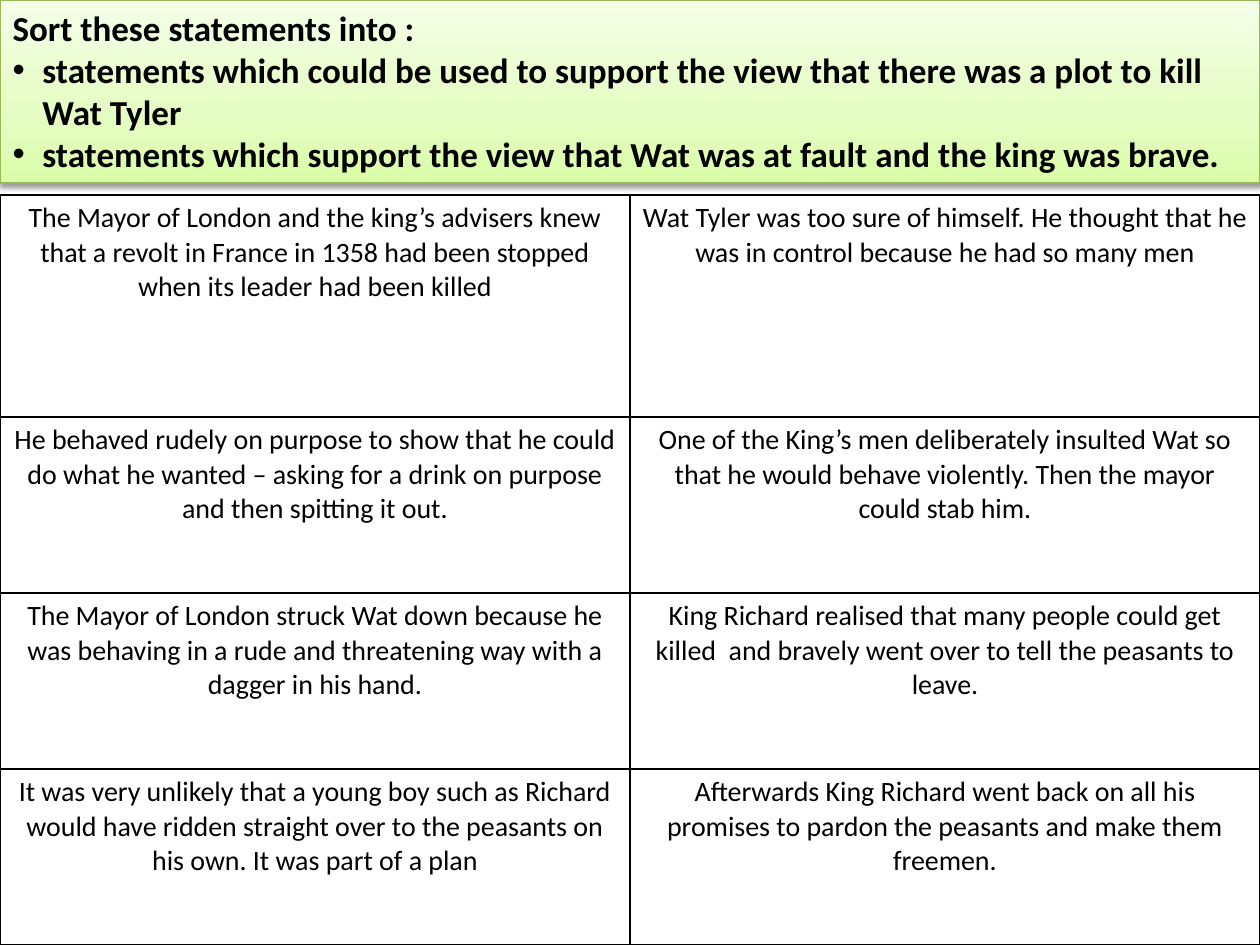
from lxml.etree import SubElement
from pptx import Presentation
from pptx.dml.color import RGBColor
from pptx.enum.text import MSO_ANCHOR as Anchor, MSO_AUTO_SIZE as AutoSize, PP_ALIGN as Align
from pptx.oxml.ns import qn
from pptx.util import Pt

COLORS = {
    "text": "000000",
    "border": "000000",
    "cell": "FFFFFF",
    "outline": "98B955",
    "shadow": "000000",
    "deep": "DAFDA7",
    "middle": "E4FCC2",
    "pale": "F5FFE7",
}
WIDTH, HEIGHT = 720, 540
HEADER_HEIGHT = 104.5
TABLE_TOP = 111.4
ROW_HEIGHTS = [126.8, 100.6, 100.6, 100.6]

HEADING = "Sort these statements into :"
CATEGORIES = [
    "statements which could be used to support the view that there was a plot to kill Wat Tyler",
    "statements which support the view that Wat was at fault and the king was brave.",
]
STATEMENTS = [
    ("The Mayor of London and the king’s advisers knew that a revolt in France in 1358 "
     "had been stopped when its leader had been killed",
     "Wat Tyler was too sure of himself. He thought that he was in control because he had so many men"),
    ("He behaved rudely on purpose to show that he could do what he wanted – asking for a drink "
     "on purpose and then spitting it out.",
     "One of the King’s men deliberately insulted Wat so that he would behave violently. "
     "Then the mayor could stab him."),
    ("The Mayor of London struck Wat down because he was behaving in a rude and threatening way "
     "with a dagger in his hand.",
     "King Richard realised that many people could get killed  and bravely went over to tell "
     "the peasants to leave."),
    ("It was very unlikely that a young boy such as Richard would have ridden straight over to "
     "the peasants on his own. It was part of a plan",
     "Afterwards King Richard went back on all his promises to pardon the peasants "
     "and make them freemen."),
]


def add_color(parent, name):
    return SubElement(parent, qn("a:srgbClr"), val=COLORS[name])


class SlideBuilder:
    font_name = "Calibri"

    def __init__(self, slide):
        self.slide = slide

    def add_text(self, para, text, size, align, bold=False):
        para.alignment = align
        span = para.add_run()
        span.text = text
        span.font.name = self.font_name
        span.font.size = Pt(size)
        span.font.bold = bold
        span.font.color.rgb = RGBColor.from_string(COLORS["text"])

    def gradient(self, box, stops):
        box.fill.gradient()
        box.fill.gradient_angle = 90
        stop_list = box.element.spPr.find(qn("a:gradFill")).find(qn("a:gsLst"))
        for stop in list(stop_list):
            stop_list.remove(stop)
        for percent, name in stops:
            add_color(SubElement(stop_list, qn("a:gs"), pos=str(percent * 1000)), name)

    def shadow(self, box):
        effects = SubElement(box.element.spPr, qn("a:effectLst"))
        outer = SubElement(effects, qn("a:outerShdw"), blurRad=str(Pt(3.1)),
                           dist=str(Pt(1.6)), dir="5400000", rotWithShape="0")
        SubElement(add_color(outer, "shadow"), qn("a:alpha"), val="38000")

    def header(self, heading, items):
        box = self.slide.shapes.title
        box.left, box.top, box.width, box.height = Pt(0), Pt(0), Pt(WIDTH), Pt(HEADER_HEIGHT)
        self.gradient(box, [(0, "deep"), (35, "middle"), (100, "pale")])
        box.line.color.rgb = RGBColor.from_string(COLORS["outline"])
        box.line.width = Pt(0.75)
        self.shadow(box)
        frame = box.text_frame
        frame.word_wrap = True
        frame.auto_size = AutoSize.SHAPE_TO_FIT_TEXT
        frame.vertical_anchor = Anchor.TOP
        self.add_text(frame.paragraphs[0], heading, 20, Align.LEFT, bold=True)
        for item in items:
            para = frame.add_paragraph()
            properties = para._p.get_or_add_pPr()
            SubElement(properties, qn("a:buFont"), typeface="Arial")
            SubElement(properties, qn("a:buChar"), char="•")
            self.add_text(para, item, 20, Align.LEFT, bold=True)

    def borders(self, cell):
        properties = cell._tc.get_or_add_tcPr()
        for side in ("lnL", "lnR", "lnT", "lnB"):
            line = SubElement(properties, qn(f"a:{side}"), w=str(Pt(1)))
            add_color(SubElement(line, qn("a:solidFill")), "border")

    def table(self, rows, top, heights):
        columns = len(rows[0])
        grid = self.slide.shapes.add_table(
            len(rows), columns, Pt(0), Pt(top), Pt(WIDTH), Pt(sum(heights))).table
        grid.first_row = grid.horz_banding = False
        for column in grid.columns:
            column.width = Pt(WIDTH / columns)
        for row, height, texts in zip(grid.rows, heights, rows):
            row.height = Pt(height)
            for cell, text in zip(row.cells, texts):
                self.borders(cell)
                cell.fill.solid()
                cell.fill.fore_color.rgb = RGBColor.from_string(COLORS["cell"])
                self.add_text(cell.text_frame.paragraphs[0], text, 16, Align.CENTER)


def main():
    deck = Presentation()
    deck.slide_width, deck.slide_height = Pt(WIDTH), Pt(HEIGHT)
    page = SlideBuilder(deck.slides.add_slide(deck.slide_layouts[5]))
    page.header(HEADING, CATEGORIES)
    page.table(STATEMENTS, TABLE_TOP, ROW_HEIGHTS)
    deck.save("out.pptx")


if __name__ == "__main__":
    main()
